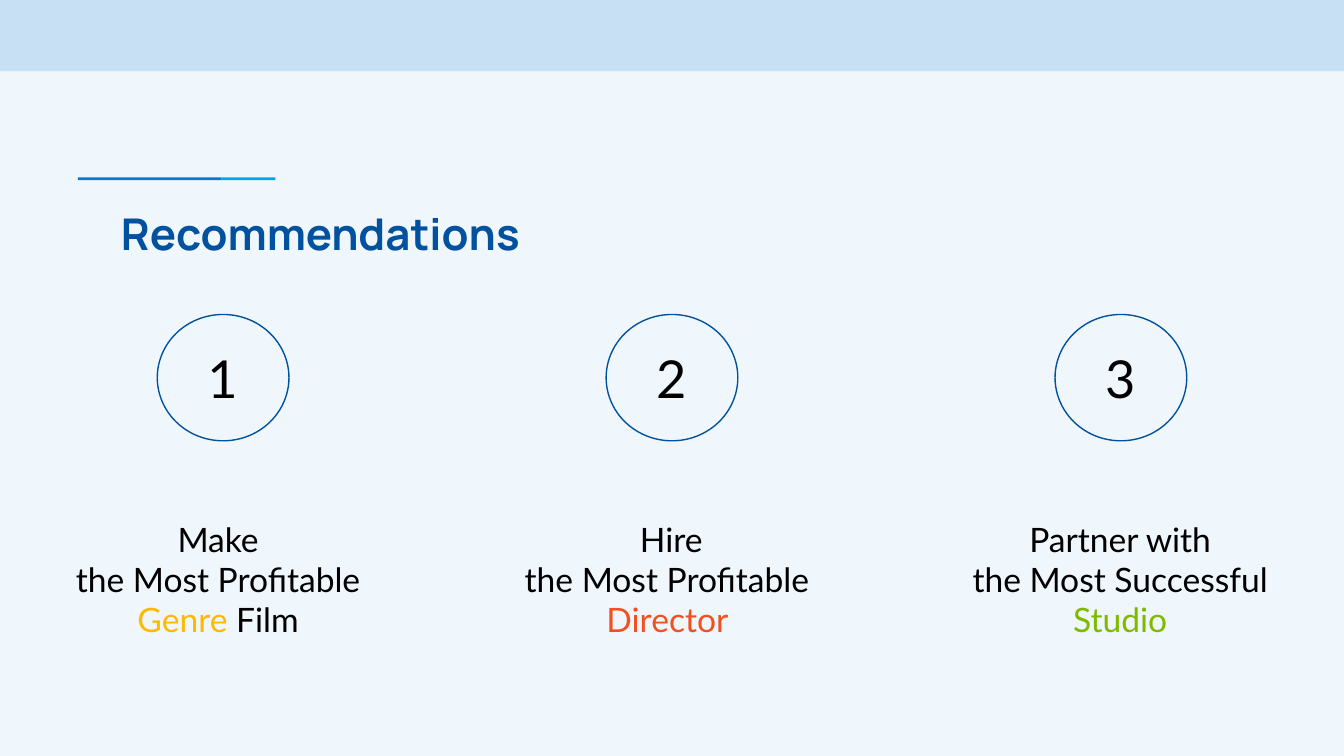
from pptx import Presentation
from pptx.dml.color import RGBColor
from pptx.enum.shapes import MSO_SHAPE
from pptx.enum.text import MSO_ANCHOR, MSO_AUTO_SIZE, PP_ALIGN
from pptx.util import Pt

PX = 9144  # 100 px to the inch
SLIDE_W = 1000
INSET = 10
COLUMN_LEFT, COLUMN_TOP, COLUMN_W, COLUMN_STEP = 41, 234, 249, 334

PALE, BAND, NAVY, BLACK = "EFF6FC", "C7E0F4", "00519E", "000000"
BLUE, SKY = "0078D4", "00A4EF"

# Each line is a list of (text, colour) runs.
RECOMMENDATIONS = [
    [[("Make ", BLACK)], [("the Most Profitable ", BLACK)],
     [("Genre ", "FFB900"), ("Film ", BLACK)]],
    [[("Hire", BLACK)], [("the Most Profitable ", BLACK)],
     [("Director ", "F25022")]],
    [[("Partner with", BLACK)], [("the Most Successful", BLACK)],
     [("Studio", "7FBA00")]],
]


def color(hex_string):
    return RGBColor.from_string(hex_string)


def emu(*lengths):
    return [length * PX for length in lengths]


def format_frame(frame, anchor):
    frame.word_wrap = True
    frame.auto_size = MSO_AUTO_SIZE.NONE
    frame.vertical_anchor = anchor
    frame.margin_left = frame.margin_right = INSET * PX
    frame.margin_top = frame.margin_bottom = INSET * PX


def format_run(run, font, size, hex_string, bold=False):
    run.font.name = font
    run.font.size = Pt(size)
    run.font.bold = bold
    run.font.color.rgb = color(hex_string)


def add_filled(slide, preset, box, fill, outline=None):
    shape = slide.shapes.add_shape(preset, *emu(*box))
    shape.shadow.inherit = False
    shape.fill.solid()
    shape.fill.fore_color.rgb = color(fill)
    if outline:
        shape.line.color.rgb = color(outline)
        shape.line.width = Pt(0.75)
    else:
        shape.line.fill.background()


def add_centered_text(slide, box, lines, size):
    frame = slide.shapes.add_textbox(*emu(*box)).text_frame
    format_frame(frame, MSO_ANCHOR.TOP)
    for index, line in enumerate(lines):
        paragraph = frame.add_paragraph() if index else frame.paragraphs[0]
        paragraph.alignment = PP_ALIGN.CENTER
        for text, hex_string in line:
            run = paragraph.add_run()
            run.text = text
            format_run(run, "Lato", size, hex_string)


def add_accent_line(slide, left, top, width, height):
    """Draw a thin rule, blue at first and sky blue at its end."""
    blue_width = round(width * 0.725)
    add_filled(slide, MSO_SHAPE.RECTANGLE, (left, top, blue_width, height), BLUE)
    add_filled(slide, MSO_SHAPE.RECTANGLE,
               (left + blue_width, top, width - blue_width, height), SKY)


def add_title(slide, left, top, width, height):
    title = slide.shapes.title
    title.left, title.top, title.width, title.height = emu(left, top, width, height)
    format_frame(title.text_frame, MSO_ANCHOR.MIDDLE)
    title.text_frame.text = "Recommendations"
    heading = title.text_frame.paragraphs[0]
    heading.alignment = PP_ALIGN.LEFT
    format_run(heading.runs[0], "Manrope", 23.4, NAVY, bold=True)


def add_recommendation(slide, left, top, width, number, lines):
    """Place a circled number with its advice below."""
    add_filled(slide, MSO_SHAPE.OVAL, (left + 76, top, 98, 94), PALE, NAVY)
    add_centered_text(slide, (left + 94, top + 14, 61, 67),
                      [[(str(number), BLACK)]], 28)
    add_centered_text(slide, (left, top + 142, width, 111), lines, 18)


def main():
    presentation = Presentation()
    presentation.slide_width = SLIDE_W * PX
    presentation.slide_height = presentation.slide_width * 9 // 16
    slide = presentation.slides.add_slide(presentation.slide_layouts[5])
    slide.background.fill.solid()
    slide.background.fill.fore_color.rgb = color(PALE)

    add_filled(slide, MSO_SHAPE.RECTANGLE, (0, 0, SLIDE_W, 53), BAND)
    add_accent_line(slide, 58, 132, 147, 2)
    add_title(slide, 80, 144, 841, 59)
    for index, lines in enumerate(RECOMMENDATIONS):
        add_recommendation(slide, COLUMN_LEFT + index * COLUMN_STEP, COLUMN_TOP,
                           COLUMN_W, index + 1, lines)
    presentation.save("out.pptx")


if __name__ == "__main__":
    main()
